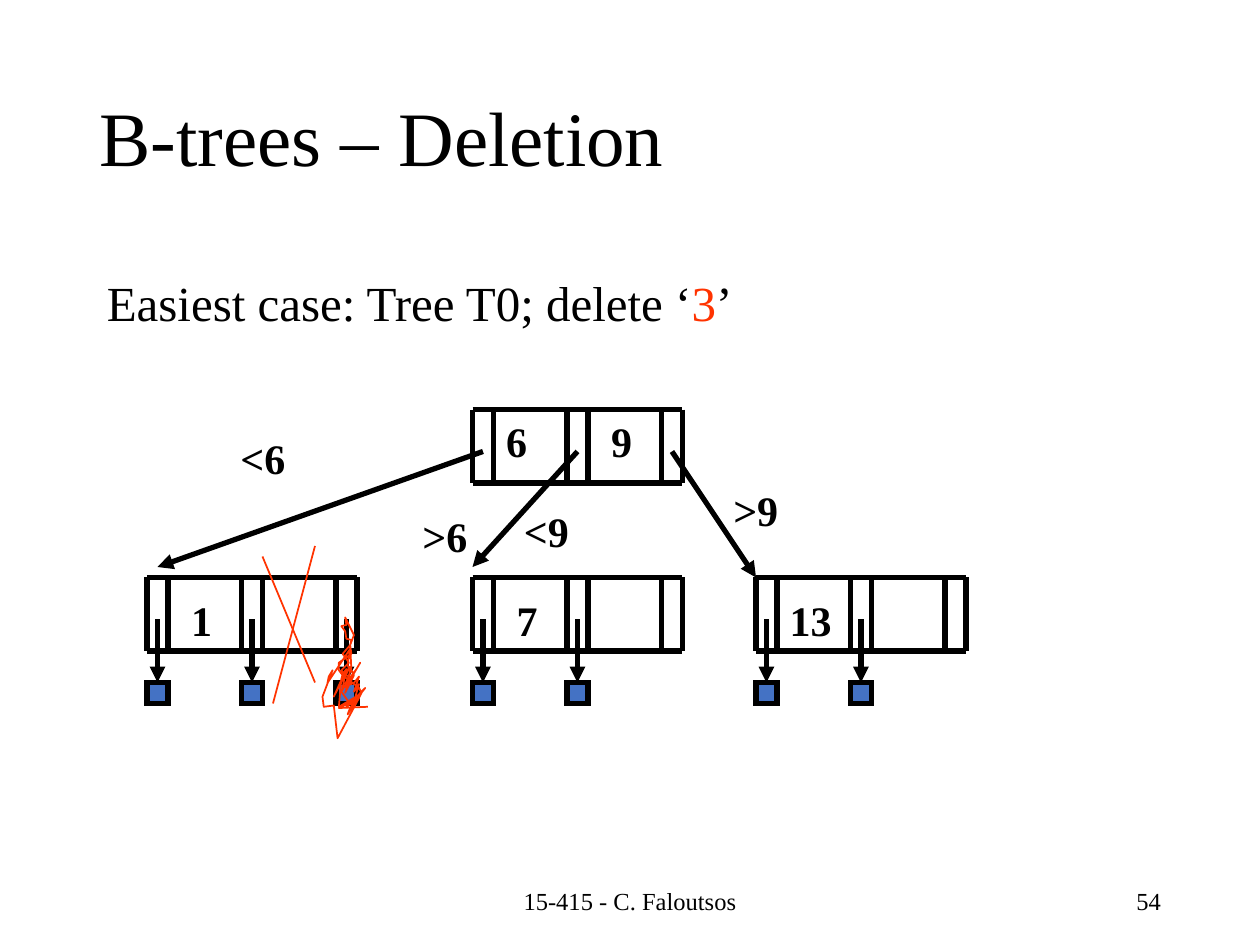
from pptx import Presentation
from pptx.dml.color import RGBColor
from pptx.enum.shapes import MSO_CONNECTOR, MSO_SHAPE
from pptx.enum.text import MSO_ANCHOR, PP_ALIGN
from pptx.oxml.ns import qn
from pptx.util import Inches, Pt
from lxml import etree

STRAIGHT, RECTANGLE = MSO_CONNECTOR.STRAIGHT, MSO_SHAPE.RECTANGLE
TOP, MIDDLE = MSO_ANCHOR.TOP, MSO_ANCHOR.MIDDLE
LEFT, CENTER, RIGHT = PP_ALIGN.LEFT, PP_ALIGN.CENTER, PP_ALIGN.RIGHT
BLACK = RGBColor(0x00, 0x00, 0x00)
RED = RGBColor(0xFF, 0x33, 0x00)
BLUE = RGBColor(0x44, 0x72, 0xC4)
FONT = "Times New Roman"

prs = Presentation()
prs.slide_width, prs.slide_height = Inches(10), Inches(7.5)
slide = prs.slides.add_slide(prs.slide_layouts[6])
shapes = slide.shapes
UNIT = prs.slide_width / 120  # grid of 120 columns and 90 rows


def add_text(runs, col, row, cols, rows, size=24, bold=False, align=CENTER,
             anchor=TOP, wrap=True, spacing=1.0):
    """Add one line of text; runs is a list of (text, colour)."""
    box = shapes.add_textbox(*(round(n * UNIT) for n in (col, row, cols, rows)))
    frame = box.text_frame
    frame.word_wrap, frame.vertical_anchor = wrap, anchor
    paragraph = frame.paragraphs[0]
    paragraph.alignment, paragraph.line_spacing = align, spacing
    for text, color in runs:
        run = paragraph.add_run()
        run.text = text
        run.font.name, run.font.size, run.font.bold = FONT, Pt(size), bold
        run.font.color.rgb = color


def add_line(start, end, color=BLACK, width=3, arrow=False):
    """Draw a line between two (column, row) points."""
    line = shapes.add_connector(STRAIGHT, *(round(n * UNIT) for n in (*start, *end)))
    line.line.color.rgb, line.line.width = color, Pt(width)
    properties = line._element.spPr
    if arrow:
        etree.SubElement(properties.find(qn("a:ln")), qn("a:tailEnd"), type="triangle")
    etree.SubElement(properties, qn("a:effectLst"))


# Title, statement and footer
add_text([("B-trees – Deletion", BLACK)], 8.3, 4.8, 103.5, 17.4, size=44,
         align=LEFT, anchor=MIDDLE, spacing=0.9)
add_text([("Easiest case: Tree T0; delete ‘", BLACK), ("3", RED), ("’", BLACK)],
         9, 26, 102, 8, size=28, align=LEFT, spacing=0.9)
add_text([("15-415 - C. Faloutsos", BLACK)], 39.75, 83.4, 40.5, 4.8, size=14,
         anchor=MIDDLE)
add_text([("54", BLACK)], 84.75, 83.4, 27, 4.8, size=14, align=RIGHT, anchor=MIDDLE)

# Tree nodes: three pointer slots, each 2 columns wide, around two key slots
NODE_WIDTH, NODE_HEIGHT, SLOT = 20, 7, 2
POINTERS = (0, 9, 18)
ROOT_ROW, LEAF_ROW, RECORD_ROW = 39, 55, 65
nodes = [(45, ROOT_ROW, 0), (72, LEAF_ROW, 2), (45, LEAF_ROW, 2), (14, LEAF_ROW, 3)]
for left, top, record_count in nodes:
    bottom = top + NODE_HEIGHT
    for pointer in POINTERS:
        for col in (left + pointer, left + pointer + SLOT):
            add_line((col, top), (col, bottom))
    for row in (top, bottom):
        add_line((left, row), (left + NODE_WIDTH, row))

    # Records below the leaf
    for pointer in POINTERS[:record_count]:
        col = left + pointer
        add_line((col + SLOT / 2, top + 4), (col + SLOT / 2, RECORD_ROW), arrow=True)
        record = shapes.add_shape(
            RECTANGLE, *(round(n * UNIT) for n in (col, RECORD_ROW, SLOT, SLOT)))
        record.shadow.inherit = False
        record.fill.solid()
        record.fill.fore_color.rgb = BLUE
        record.line.color.rgb, record.line.width = BLACK, Pt(3)
        outline = record._element.spPr.find(qn("a:ln"))
        etree.SubElement(outline, qn("a:miter"), lim="800000")

# Arrows from the root to the leaves
for pointer, leaf in zip(POINTERS, ((15, 54), (45, 54), (72, 55))):
    add_line((45 + pointer + SLOT / 2, ROOT_ROW + 4), leaf, arrow=True)

# Keys and range labels
for label, col, row, cols in [
    ("1", 17, 56, 4.4), ("6", 47, 39, 4.4), ("7", 48, 56, 4.4), ("9", 57, 39, 4.4),
    ("13", 74, 56, 6.4), ("<6", 21.65, 40.6, 6.75), (">6", 39, 48, 6.75),
    ("<9", 48.65, 47.55, 6.75), (">9", 68.6, 45.6, 6.75),
]:
    add_text([(label, BLACK)], col, row, cols, 6, bold=True, wrap=False)

# Cross over the deleted key
add_line((25, 53), (30, 65), color=RED, width=1)
add_line((30, 52), (26, 67), color=RED, width=1)

# Scribble over the deleted record, in hundredths of an inch
scribble = [
    (292, 561), (269, 562), (285, 554), (287, 550), (285, 546), (272, 536),
    (269, 532), (269, 526), (279, 519), (278, 512), (279, 508), (275, 507),
    (274, 501), (271, 497), (275, 496), (274, 490), (279, 500), (281, 504),
    (278, 512), (272, 519), (277, 526), (271, 532), (274, 536), (278, 537),
    (271, 549), (276, 556), (275, 561), (279, 558), (286, 550), (290, 546),
    (286, 551), (269, 561), (271, 539), (275, 535), (278, 529), (271, 539),
    (272, 535), (275, 531), (269, 544), (265, 553), (267, 549), (274, 535),
    (272, 546), (281, 542), (285, 537), (281, 549), (285, 543), (281, 557),
    (278, 562), (276, 567), (282, 557), (287, 549), (285, 554), (268, 586),
    (265, 560), (257, 561), (256, 553), (264, 532), (261, 537), (260, 542),
    (278, 515), (276, 528), (278, 533), (276, 539), (274, 543), (283, 531),
    (286, 526), (276, 543), (274, 550), (281, 536), (279, 532), (278, 512),
]
builder = shapes.build_freeform(*scribble[0], scale=Inches(0.01))
builder.add_line_segments(scribble[1:], close=False)
scrawl = builder.convert_to_shape()
scrawl.shadow.inherit = False
scrawl.fill.background()
scrawl.line.color.rgb, scrawl.line.width = RED, Pt(1)

prs.save("out.pptx")
